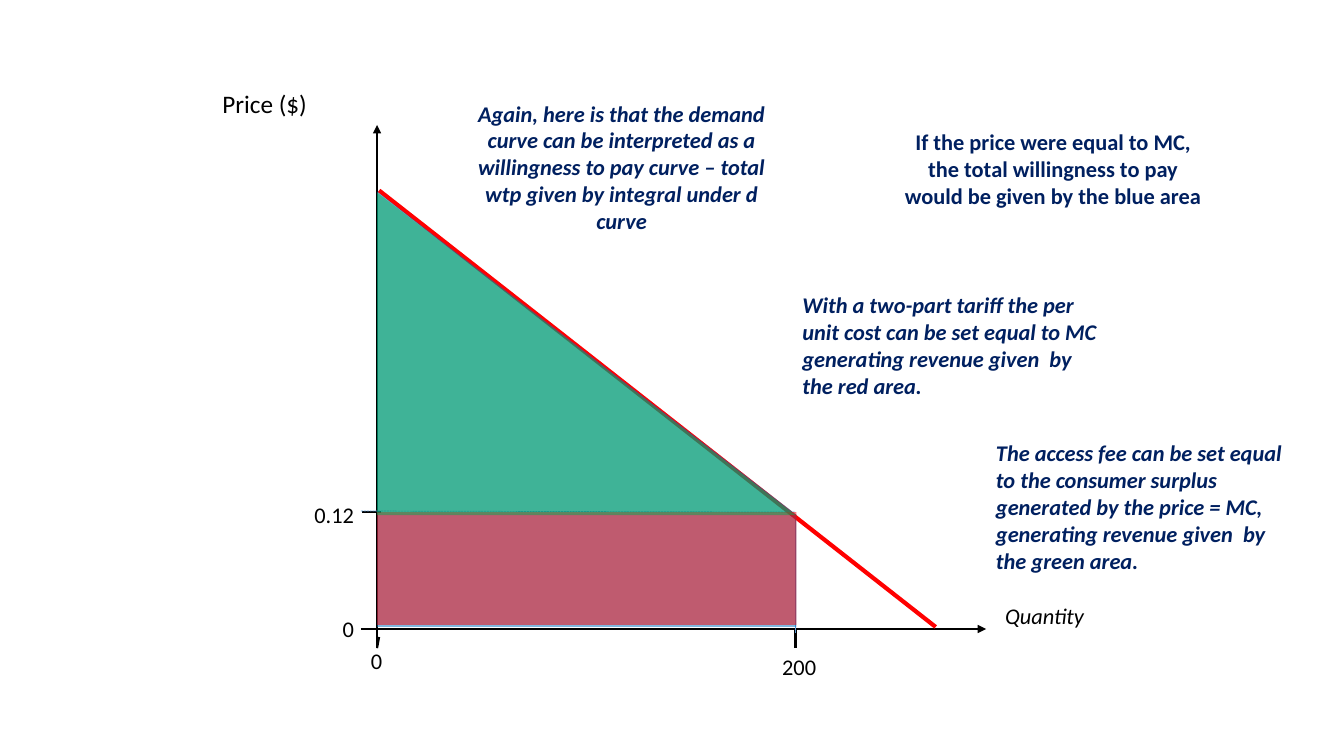
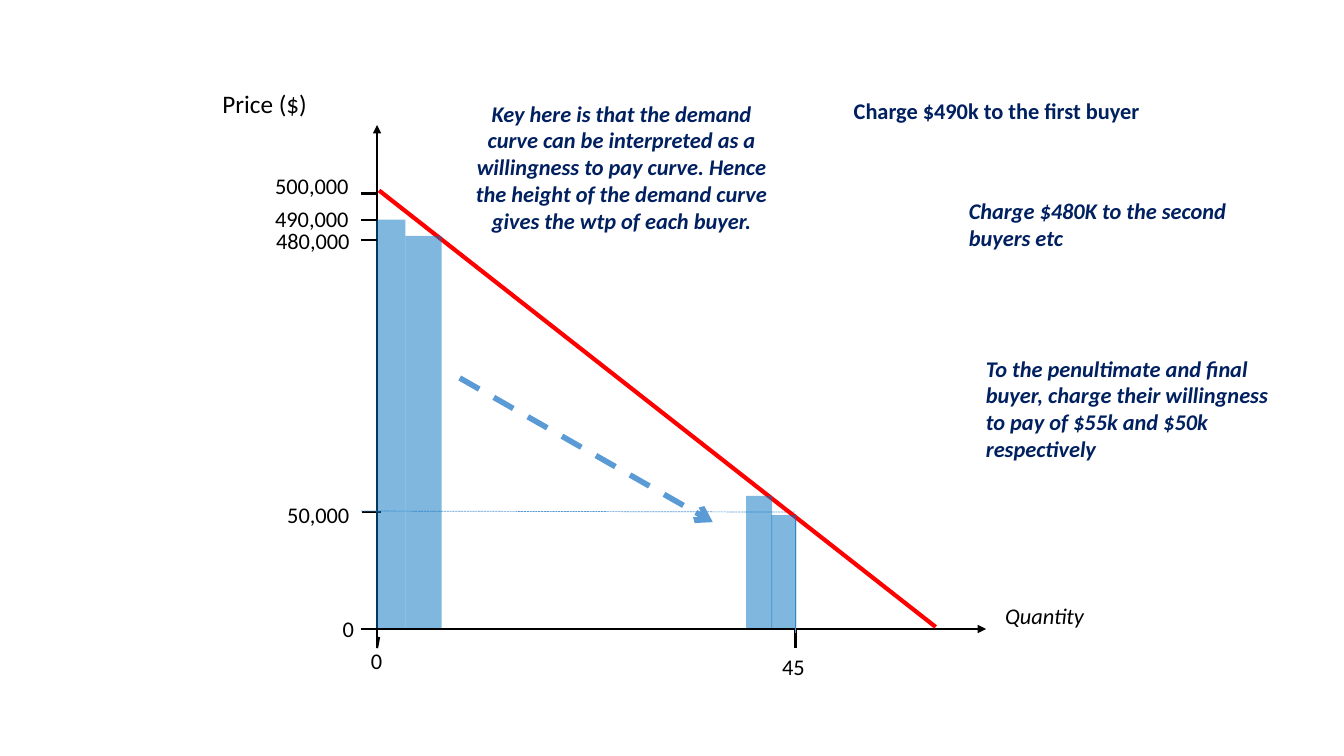
from pptx import Presentation
from pptx.dml.color import RGBColor
from pptx.enum.dml import MSO_LINE
from pptx.enum.shapes import MSO_CONNECTOR, MSO_SHAPE
from pptx.enum.text import MSO_AUTO_SIZE, PP_ALIGN
from pptx.oxml.ns import qn
from pptx.oxml.xmlchemy import OxmlElement
from pptx.util import Emu, Pt

STRAIGHT = MSO_CONNECTOR.STRAIGHT
RECT, TRIANGLE = MSO_SHAPE.RECTANGLE, MSO_SHAPE.RIGHT_TRIANGLE
DASH, SHORT_DASH = MSO_LINE.DASH, MSO_LINE.SQUARE_DOT
LEFT, CENTER = PP_ALIGN.LEFT, PP_ALIGN.CENTER
FIT = MSO_AUTO_SIZE.SHAPE_TO_FIT_TEXT

BLACK = RGBColor(0x00, 0x00, 0x00)
NAVY = RGBColor(0x00, 0x20, 0x60)
GUIDE_BLUE = RGBColor(0x5B, 0x9B, 0xD5)
AREA_BLUE = RGBColor(0x00, 0x70, 0xC0)
RED = RGBColor(0xFF, 0x00, 0x00)
GREEN = RGBColor(0x00, 0xB0, 0x50)

FONT = "Calibri"
PX = 9144  # 100 px to the inch
SLIDE_SIZE = (1333, 750)
AXIS_X, BASE_Y = 374, 624
QUANTITY_X, PRICE_Y = 789, 508
BAR_BOTTOM = 623
LABEL_HEIGHT, NOTE_WIDTH = 37, 321

# Lines of the diagram: start, end, colour, weight, dash, arrowhead
FRAME_LINES = [
    ((AXIS_X, 642), (AXIS_X, 124), BLACK, 1.5, None, "triangle"),
    ((AXIS_X, 643), (376, 632), BLACK, 1.5, None, None),
    ((358, BASE_Y), (978, BASE_Y), BLACK, 1.5, None, "triangle"),
    ((QUANTITY_X, 623), (QUANTITY_X, 643), BLACK, 1.5, None, None),
    ((359, PRICE_Y), (378, PRICE_Y), BLACK, 1.5, None, None),
    ((QUANTITY_X, 628), (QUANTITY_X, 510), GUIDE_BLUE, 0.5, None, None),
    ((358, 507), (QUANTITY_X, 508), GUIDE_BLUE, 0.5, SHORT_DASH, None),
    ((376, 189), (928, 622), RED, 3, None, None),
]
# Tick labels: text, left, top, width
ORIGIN_LABELS = [("0", 358, 637, 43), ("0", 330, 605, 28)]

# Notes: text, left, top, height, alignment, italic
SLIDES = [
    {
        "labels": [("200", 766, 643, 63), ("0.12", 302, 492, 61)],
        "notes": [
            ("Again, here is that the demand curve can be interpreted as a "
             "willingness to pay curve – total wtp given by integral under d curve",
             456, 94, 145, CENTER, True),
            ("With a two-part tariff the per unit cost can be set equal to MC "
             "generating revenue given  by the red area.",
             786, 284, 118, LEFT, True),
            ("If the price were equal to MC, the total willingness to pay would "
             "be given by the blue area", 884, 122, 91, CENTER, False),
            ("The access fee can be set equal to the consumer surplus generated "
             "by the price = MC, generating revenue given  by the green area.",
             978, 431, 145, LEFT, True),
        ],
        # Areas: shape, left, top, width, height, colour
        "areas": [
            (RECT, AXIS_X, 510, 416, 112, AREA_BLUE),
            (TRIANGLE, AXIS_X, 190, 415, 320, AREA_BLUE),
            (RECT, AXIS_X, 508, 416, 112, RED),
            (TRIANGLE, AXIS_X, 191, 415, 320, GREEN),
        ],
        "lines": [],
    },
    {
        "labels": [("45", 766, 643, 63), ("50,000", 275, 492, 88),
                   ("500,000", 263, 166, 102), ("490,000", 263, 199, 95),
                   ("480,000", 264, 220, 95)],
        "notes": [
            ("Key here is that the demand curve can be interpreted as a "
             "willingness to pay curve. Hence the height of the demand curve "
             "gives the wtp of each buyer.", 456, 94, 145, CENTER, True),
            ("Charge $480K to the second buyers etc", 951, 191, 64, LEFT, True),
            ("Charge $490k to the first buyer", 828, 91, 37, CENTER, False),
            ("To the penultimate and final buyer, charge their willingness to "
             "pay of $55k and $50k respectively", 968, 347, 118, LEFT, True),
        ],
        # Price paid by each buyer, as a bar standing on the quantity axis
        "areas": [
            (RECT, left, top, width, BAR_BOTTOM - top, AREA_BLUE)
            for left, top, width in [(373, 218, 29), (740, 492, 26),
                                     (402, 234, 36), (765, 511, 25)]
        ],
        "lines": [((358, y), (AXIS_X, y), BLACK, 1.5, None, None)
                  for y in (192, 218, 238)]
                 + [((456, 375), (707, 518), GUIDE_BLUE, 4, DASH, "arrow")],
    },
]


def px(*lengths):
    return [Emu(length * PX) for length in lengths]


def add_line(slide, start, end, color, weight, dash, arrowhead):
    connector = slide.shapes.add_connector(STRAIGHT, *px(*start, *end))
    connector.line.color.rgb = color
    connector.line.width = Pt(weight)
    if dash is not None:
        connector.line.dash_style = dash
    properties = connector._element.spPr
    if arrowhead:
        tail = OxmlElement("a:tailEnd")
        tail.set("type", arrowhead)
        properties.find(qn("a:ln")).append(tail)
    properties.append(OxmlElement("a:effectLst"))


def add_text(slide, text, left, top, width, height=LABEL_HEIGHT, align=LEFT,
             size=16, color=BLACK, bold=False, italic=False):
    frame = slide.shapes.add_textbox(*px(left, top, width, height)).text_frame
    frame.word_wrap = True
    frame.auto_size = FIT
    paragraph = frame.paragraphs[0]
    paragraph.text = text
    paragraph.alignment = align
    font = paragraph.font
    font.name, font.size = FONT, Pt(size)
    font.bold, font.italic = bold, italic
    font.color.rgb = color


def add_area(slide, kind, left, top, width, height, color):
    area = slide.shapes.add_shape(kind, *px(left, top, width, height))
    area.shadow.inherit = False
    area.line.fill.background()
    area.fill.solid()
    area.fill.fore_color.rgb = color
    alpha = OxmlElement("a:alpha")
    alpha.set("val", "50000")
    area._element.spPr.find(qn("a:solidFill")).find(qn("a:srgbClr")).append(alpha)


def build_slide(deck, content):
    slide = deck.slides.add_slide(deck.slide_layouts[6])
    # Axes, guides and demand curve
    for line in FRAME_LINES:
        add_line(slide, *line)
    add_text(slide, "Price ($)", 194, 83, 137, 40, CENTER, size=18)
    add_text(slide, "Quantity", 951, 592, 170, align=CENTER, italic=True)
    for label in ORIGIN_LABELS + content["labels"]:
        add_text(slide, *label)
    # Shaded areas, extra ticks and trend arrow
    for area in content["areas"]:
        add_area(slide, *area)
    for line in content["lines"]:
        add_line(slide, *line)
    # Explanations
    for text, left, top, height, align, italic in content["notes"]:
        add_text(slide, text, left, top, NOTE_WIDTH, height, align,
                 color=NAVY, bold=True, italic=italic)


def main():
    deck = Presentation()
    deck.slide_width, deck.slide_height = px(*SLIDE_SIZE)
    for content in SLIDES:
        build_slide(deck, content)
    deck.save("out.pptx")


if __name__ == "__main__":
    main()
